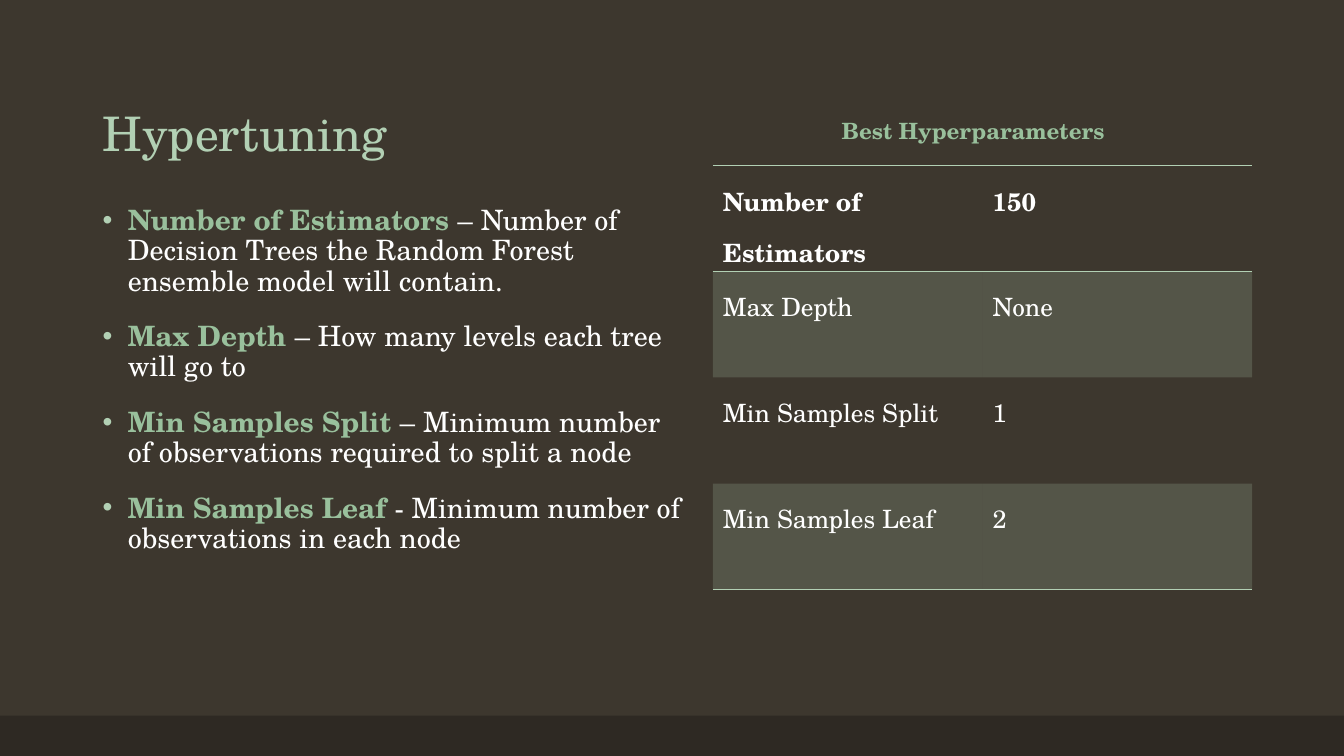
"""Builds the Hypertuning slide with its table of best values."""
from dataclasses import dataclass
from typing import Any

from lxml import etree
from pptx import Presentation
from pptx import util as u
from pptx.dml import color
from pptx.enum import shapes, text
from pptx.oxml import ns

FACE = "TeX Gyre Schola"
BACK, BAND, MINT, SAGE, WHITE = "3D372E", "2E2923", "B2D0B4", "99C09C", "FFFFFF"


@dataclass
class Term:
    name: str
    note: str


@dataclass
class Param:
    name: str
    value: str
    bold: bool = False
    fill: bool = False
    edges: tuple[str, ...] = ()


TERMS = [
    Term("Number of Estimators ",
         "– Number of Decision Trees the Random Forest ensemble model will contain."),
    Term("Max Depth ", "– How many levels each tree will go to"),
    Term("Min Samples Split ",
         "– Minimum number of observations required to split a node"),
    Term("Min Samples Leaf ", "- Minimum number of observations in each node"),
]
PARAMS = [
    Param("Number of Estimators", "150", bold=True, edges=("a:lnT", "a:lnB")),
    Param("Max Depth", "None", fill=True),
    Param("Min Samples Split", "1"),
    Param("Min Samples Leaf", "2", fill=True, edges=("a:lnB",)),
]


def rgb(code: str) -> color.RGBColor:
    return color.RGBColor.from_string(code)


def assign(obj: Any, form: dict[str, Any]) -> None:
    for key, val in form.items():
        setattr(obj, key, val)


def sub(root: Any, tag: str, **attrs: str) -> Any:
    return etree.SubElement(root, ns.qn(tag), attrs)


def write(para: Any, words: str, size: float, code: str, bold: bool = False) -> None:
    run = para.add_run()
    run.text = words
    assign(run.font, {"name": FACE, "size": u.Pt(size), "bold": bold})
    run.font.color.rgb = rgb(code)


def box(slide: Any, left: float, top: float, width: float, height: float,
        **form: Any) -> Any:
    area = [u.Inches(n) for n in (left, top, width, height)]
    frame = slide.shapes.add_textbox(*area).text_frame
    assign(frame, {"word_wrap": True, **form})
    return frame


def bullet(para: Any) -> None:
    props = para._p.get_or_add_pPr()
    props.set("marL", str(u.Inches(0.25)))
    props.set("indent", str(u.Inches(-0.25)))
    sub(sub(props, "a:buClr"), "a:srgbClr", val=MINT)
    sub(props, "a:buFont", typeface="Arial")
    sub(props, "a:buChar", char="•")


def body(slide: Any) -> None:
    frame = box(slide, 0.92, 2, 6, 4.76)
    for num, term in enumerate(TERMS):
        para = frame.add_paragraph() if num else frame.paragraphs[0]
        bullet(para)
        assign(para, {"line_spacing": 0.9, "space_before": u.Pt(18 if num else 0)})
        write(para, term.name, 20, SAGE, True)
        write(para, term.note, 20, WHITE)


def style(cell: Any, row: Param) -> None:
    props = cell._tc.get_or_add_tcPr()
    for edge in row.edges:
        line = sub(props, edge, w=str(u.Pt(1)))
        sub(sub(line, "a:solidFill"), "a:srgbClr", val=MINT)
    if row.fill:
        tint = sub(sub(props, "a:solidFill"), "a:srgbClr", val=MINT)
        sub(tint, "a:alpha", val="20000")
    else:
        cell.fill.background()


def grid(slide: Any) -> None:
    area = [u.Inches(n) for n in (7.07, 1.64, 5.35, 4.21)]
    frame = slide.shapes.add_table(len(PARAMS), 2, *area)
    table = frame.table
    assign(table, {"first_row": False, "horz_banding": False})
    mark = table._tbl.tblPr.find(ns.qn("a:tableStyleId"))
    mark.text = "{2D5ABB26-0587-4C30-8999-92F81FD0307C}"
    for line, row in zip(table.rows, PARAMS):
        for cell, words in zip(line.cells, (row.name, row.value)):
            para = cell.text_frame.paragraphs[0]
            para.line_spacing = 1.3
            write(para, words, 18, WHITE, row.bold)
            style(cell, row)


def main() -> None:
    deck = Presentation()
    assign(deck, {"slide_width": u.Inches(13.33), "slide_height": u.Inches(7.5)})
    slide = deck.slides.add_slide(deck.slide_layouts[6])
    ground = slide.background.fill
    ground.solid()
    ground.fore_color.rgb = rgb(BACK)

    area = [u.Inches(n) for n in (0, 7.1, 13.33, 0.4)]
    strip = slide.shapes.add_shape(shapes.MSO_SHAPE.RECTANGLE, *area)
    strip.shadow.inherit = False
    strip.fill.solid()
    strip.fill.fore_color.rgb = rgb(BAND)
    strip.line.fill.background()

    title = box(slide, 0.92, 0.4, 11.5, 1.25,
                vertical_anchor=text.MSO_ANCHOR.BOTTOM).paragraphs[0]
    title.line_spacing = 0.9
    write(title, "Hypertuning", 34, MINT)
    body(slide)
    grid(slide)
    head = box(slide, 8.25, 1.11, 4.17, 0.37,
               auto_size=text.MSO_AUTO_SIZE.SHAPE_TO_FIT_TEXT).paragraphs[0]
    write(head, "Best Hyperparameters", 16, SAGE, True)
    deck.save("out.pptx")


if __name__ == "__main__":
    main()
